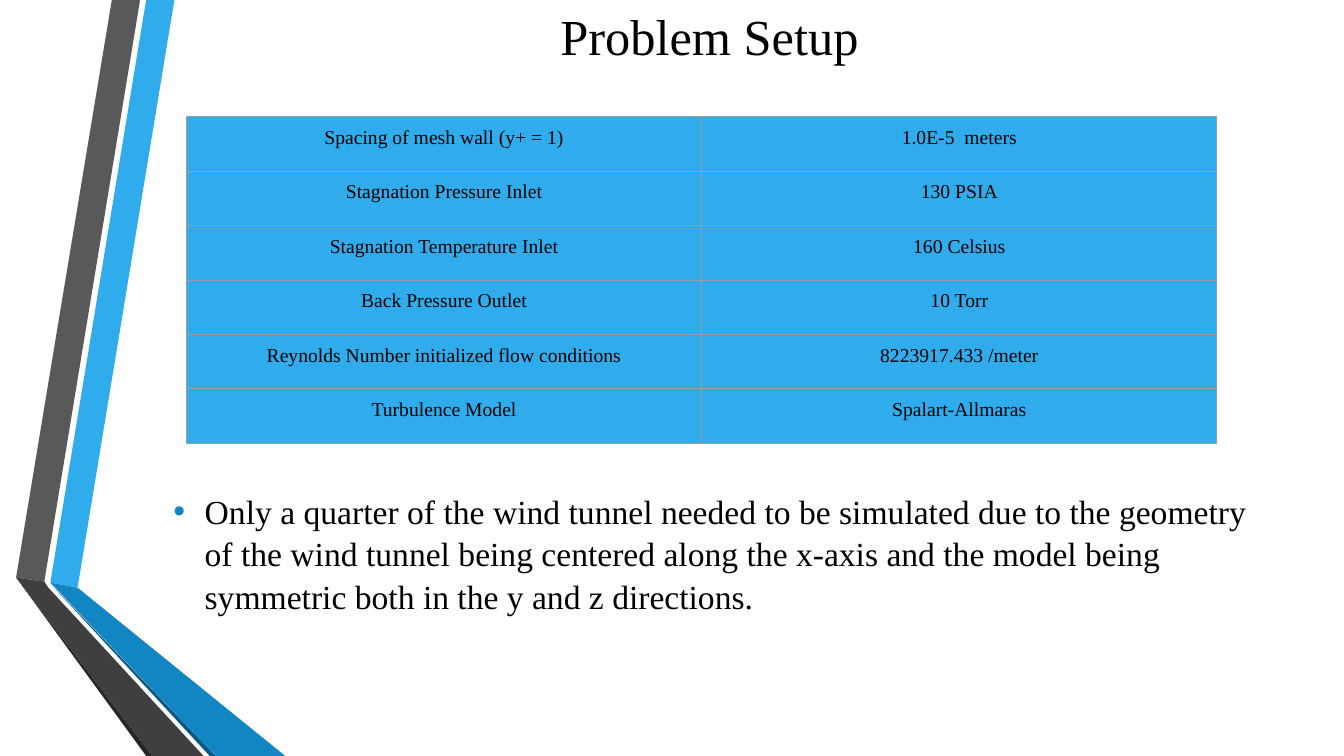
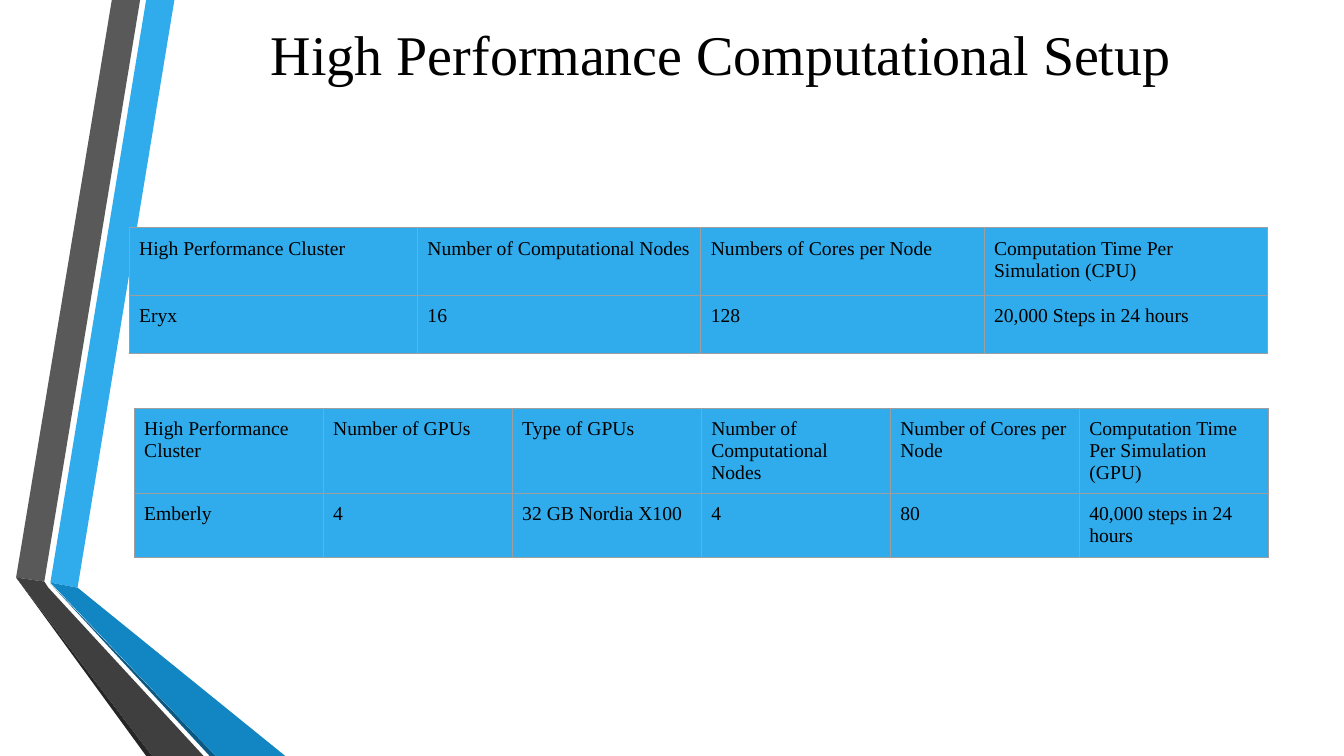
from lxml import etree
from pptx import Presentation, util as u
from pptx.dml.color import RGBColor
from pptx.enum import text as t
from pptx.oxml.ns import qn

WIDTH, HEIGHT = 13.33, 7.5
FONT = "Times New Roman"
BLACK, BLUE, DEEP_BLUE, GREY = "000000", "30ACEC", "1186C3", "9E9E9E"
CELL_MARGIN = 0.1
TITLE_WIDTH = 10.96

HUNDREDTH = u.Inches(0.01)
BANDS = [
    (BLUE, [(50, 578), (77, 583), (173, 0), (145, 0)]),
    ("595959", [(139, 0), (111, 0), (16, 573), (44, 577)]),
    ("262626", [(16, 573), (145, 750), (151, 750)]),
    ("0B5982", [(50, 579), (208, 750), (214, 750)]),
    (DEEP_BLUE, [(50, 578), (214, 750), (283, 750), (77, 583)]),
    ("3F3F3F", [(202, 750), (48, 583), (44, 577), (16, 573), (151, 750)]),
]

SLIDES = [
    {
        "title": "Problem Setup ",
        "title_box": (1.62, 0, TITLE_WIDTH, 0.71),
        "title_size": 36,
        "bullet": "Only a quarter of the wind tunnel needed to be simulated due to the "
                  "geometry of the wind tunnel being centered along the x-axis and the "
                  "model being symmetric both in the y and z directions.",
        "bullet_box": (1.62, 4.8, TITLE_WIDTH, 1.4),
        "tables": [
            {
                "at": (1.85, 1.16),
                "columns": [5.11] * 2,
                "rows": [0.54] * 6,
                "align": t.PP_ALIGN.CENTER,
                "cells": [
                    ("Spacing of mesh wall (y+ = 1)", "1.0E-5  meters"),
                    ("Stagnation Pressure Inlet", "130 PSIA"),
                    ("Stagnation Temperature Inlet", "160 Celsius"),
                    ("Back Pressure Outlet", "10 Torr"),
                    ("Reynolds Number initialized flow conditions", "8223917.433 /meter"),
                    ("Turbulence Model", "Spalart-Allmaras"),
                ],
            },
        ],
    },
    {
        "title": "High Performance Computational Setup",
        "title_box": (1.67, 0, TITLE_WIDTH, 1.05),
        "title_size": 40,
        "tables": [
            {
                "at": (1.28, 2.26),
                "columns": [2.86] + [2.81] * 3,
                "rows": [0.67, 0.58],
                "align": t.PP_ALIGN.LEFT,
                "cells": [
                    ("High Performance Cluster", "Number of Computational Nodes",
                     "Numbers of Cores per Node", "Computation Time Per Simulation (CPU)"),
                    ("Eryx", "16", "128", "20,000 Steps in 24 hours"),
                ],
            },
            {
                "at": (1.33, 4.05),
                "columns": [1.875] * 6,
                "rows": [0.84, 0.63],
                "align": t.PP_ALIGN.LEFT,
                "cells": [
                    ("High Performance Cluster", "Number of GPUs", "Type of GPUs",
                     "Number of Computational Nodes", "Number of Cores per Node",
                     "Computation Time Per Simulation (GPU)"),
                    ("Emberly", "4", "32 GB Nordia X100", "4", "80",
                     "40,000 steps in 24 hours"),
                ],
            },
        ],
    },
]


def color(value):
    return RGBColor.from_string(value)


def write(frame, words, size=14, align=t.PP_ALIGN.LEFT, ink=BLACK):
    frame.word_wrap = True
    paragraph = frame.paragraphs[0]
    paragraph.alignment = align
    run = paragraph.add_run()
    run.text = words
    run.font.name, run.font.size = FONT, u.Pt(size)
    run.font.color.rgb = color(ink)
    return paragraph


def place(holder, box):
    holder.left, holder.top, holder.width, holder.height = map(u.Inches, box)
    holder.text_frame.auto_size = t.MSO_AUTO_SIZE.NONE
    return holder.text_frame


def move_bands_to_master(slide, master):
    for depth, (fill, points) in enumerate(BANDS):
        builder = slide.shapes.build_freeform(*points[0], scale=HUNDREDTH)
        builder.add_line_segments(points[1:], close=True)
        band = builder.convert_to_shape()
        band.shadow.inherit = False
        band.fill.solid()
        band.fill.fore_color.rgb = color(fill)
        band.line.fill.background()
        master.shapes.element.insert(2 + depth, band.element)


def add_border(cell):
    properties = cell._tc.get_or_add_tcPr()
    for side in ("a:lnL", "a:lnR", "a:lnT", "a:lnB"):
        line = etree.SubElement(properties, qn(side), w=str(u.Pt(0.75)))
        fill = etree.SubElement(line, qn("a:solidFill"))
        etree.SubElement(fill, qn("a:srgbClr"), val=GREY)


def add_grid(slide, at, columns, rows, align, cells):
    box = map(u.Inches, (*at, sum(columns), sum(rows)))
    table = slide.shapes.add_table(len(rows), len(columns), *box).table
    table.first_row = table.horz_banding = False
    for column, width in zip(table.columns, columns):
        column.width = u.Inches(width)
    for row, height, words in zip(table.rows, rows, cells):
        row.height = u.Inches(height)
        for cell, entry in zip(row.cells, words):
            cell.margin_left = cell.margin_right = u.Inches(CELL_MARGIN)
            cell.margin_top = cell.margin_bottom = u.Inches(CELL_MARGIN)
            add_border(cell)
            cell.fill.solid()
            cell.fill.fore_color.rgb = color(BLUE)
            write(cell.text_frame, entry, align=align)


def add_bullet(holder, words, box):
    paragraph = write(place(holder, box), words, size=24)
    paragraph.space_before = u.Pt(0)
    paragraph.line_spacing = 1.05
    properties = paragraph._p.get_or_add_pPr()
    indent = u.Inches(0.31)
    properties.set("marL", str(indent))
    properties.set("indent", str(-indent))
    tint = etree.SubElement(properties, qn("a:buClr"))
    etree.SubElement(tint, qn("a:srgbClr"), val=DEEP_BLUE)
    etree.SubElement(properties, qn("a:buChar"), char="•")


def main():
    deck = Presentation()
    deck.slide_width, deck.slide_height = u.Inches(WIDTH), u.Inches(HEIGHT)
    with_body, title_only = deck.slide_layouts[1], deck.slide_layouts[5]
    for content in SLIDES:
        slide = deck.slides.add_slide(with_body if "bullet" in content else title_only)
        heading = place(slide.shapes.title, content["title_box"])
        heading.vertical_anchor = t.MSO_ANCHOR.MIDDLE
        write(heading, content["title"], size=content["title_size"], align=t.PP_ALIGN.CENTER)
        if "bullet" in content:
            add_bullet(slide.placeholders[1], content["bullet"], content["bullet_box"])
        for table in content["tables"]:
            add_grid(slide, **table)
    move_bands_to_master(deck.slides[0], deck.slide_master)
    deck.save("out.pptx")


if __name__ == "__main__":
    main()
